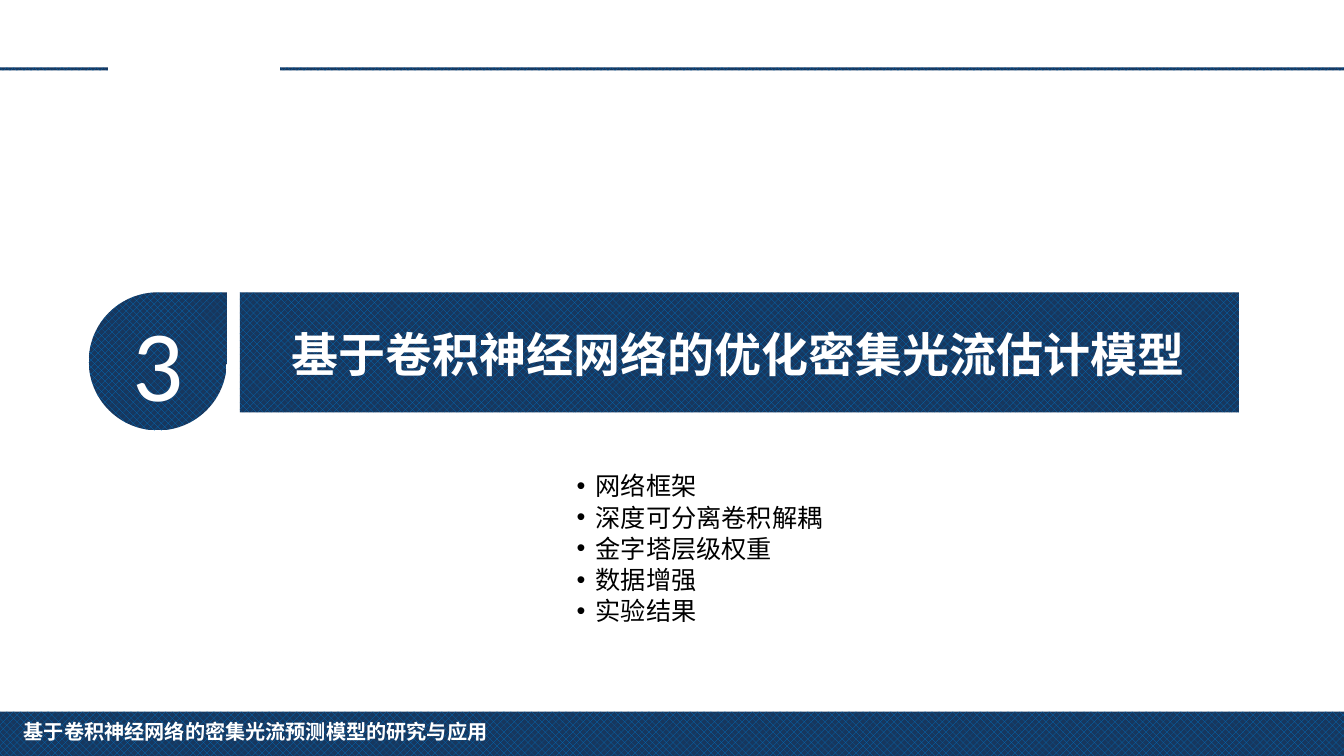
from dataclasses import dataclass

from lxml.etree import SubElement
from pptx import Presentation
from pptx.dml.color import RGBColor
from pptx.enum.dml import MSO_PATTERN as Weave
from pptx.enum.shapes import MSO_SHAPE as Form
from pptx.enum.text import MSO_ANCHOR as Anchor, PP_ALIGN as Align
from pptx.oxml.ns import qn
from pptx.util import Inches, Pt

WIDE, HIGH = Inches(13.333), Inches(7.5)
NAVY, BLUE, WHITE, BLACK = "17375E", "0070C0", "FFFFFF", "000000"
LATIN, HAN = "Calibri", "Noto Sans CJK SC"
RULE_TOP, RULE_HIGH = 8.93, 0.4
BAND_TOP = 38.67
LIST_LEFT, LIST_TOP, LIST_STEP, LIST_HIGH = 42.16, 61.6, 4.13, 5.33
DENT = Inches(0.19)


@dataclass
class Box:
    left: float
    top: float
    width: float
    height: float

    def place(self) -> tuple[int, int, int, int]:
        return (
            int(WIDE * self.left / 100),
            int(HIGH * self.top / 100),
            int(WIDE * self.width / 100),
            int(HIGH * self.height / 100),
        )


@dataclass
class Panel:
    box: Box
    form: Form = Form.RECTANGLE


@dataclass
class Label:
    text: str
    box: Box
    size: float
    face: str = HAN
    tint: str = WHITE
    bold: bool = True
    align: Align = Align.CENTER
    dot: bool = False


def shade(code: str) -> RGBColor:
    return RGBColor.from_string(code)


def write(frame, label: Label) -> None:
    frame.word_wrap = True
    para = frame.paragraphs[0]
    para.text = label.text
    para.alignment = label.align
    font = para.font
    font.size = Pt(label.size)
    font.bold = label.bold
    font.color.rgb = shade(label.tint)
    font.name = label.face
    props = para._p.get_or_add_pPr()
    SubElement(props.find(qn("a:defRPr")), qn("a:ea"), typeface=HAN)
    if label.dot:
        props.set("marL", str(DENT))
        props.set("indent", str(-DENT))
        mark = SubElement(props, qn("a:buChar"), char="•")
        face = SubElement(props, qn("a:buFont"), typeface="Arial")
        props.insert(0, mark)
        props.insert(0, face)


def draw_panel(slide, panel: Panel):
    shape = slide.shapes.add_shape(panel.form, *panel.box.place())
    shape.shadow.inherit = False
    shape.line.fill.background()
    shape.fill.patterned()
    shape.fill.pattern = Weave.PERCENT_50
    shape.fill.fore_color.rgb = shade(BLUE)
    shape.fill.back_color.rgb = shade(NAVY)
    return shape


def draw_label(slide, label: Label) -> None:
    write(slide.shapes.add_textbox(*label.box.place()).text_frame, label)


PANELS = [
    Panel(Box(20.85, RULE_TOP, 79.15, RULE_HIGH)),
    Panel(Box(0, RULE_TOP, 8.03, RULE_HIGH)),
    Panel(Box(0, 94.13, 100, 5.87)),
    Panel(Box(17.85, BAND_TOP, 74.34, 15.87)),
]
DROP = Panel(Box(6.6, BAND_TOP, 10.28, 18.27), Form.TEAR)
COUNT = Label("3", DROP.box, 72, face=LATIN, bold=False)
LABELS = [
    Label("基于卷积神经网络的密集光流预测模型的研究与应用",
          Box(-0.15, 94.53, 38.33, 4.53), 14.4),
    Label("基于卷积神经网络的优化密集光流估计模型",
          Box(16.88, 42.4, 76.07, 8.93), 33.6),
]
TOPICS = [
    ("网络框架", 17.78),
    ("深度可分离卷积解耦", 24.6),
    ("金字塔层级权重", 17.78),
    ("数据增强", 17.78),
    ("实验结果", 17.78),
]


def main() -> None:
    deck = Presentation()
    deck.slide_width, deck.slide_height = WIDE, HIGH
    slide = deck.slides.add_slide(deck.slide_layouts[6])
    for panel in PANELS:
        draw_panel(slide, panel)
    for label in LABELS:
        draw_label(slide, label)
    frame = draw_panel(slide, DROP).text_frame
    frame.vertical_anchor = Anchor.MIDDLE
    frame.margin_left = frame.margin_right = Inches(0.12)
    frame.margin_top = frame.margin_bottom = Inches(0.06)
    write(frame, COUNT)
    for row, (text, width) in enumerate(TOPICS):
        box = Box(LIST_LEFT, LIST_TOP + row * LIST_STEP, width, LIST_HIGH)
        draw_label(slide, Label(text, box, 18, LATIN, BLACK, False, Align.LEFT, True))
    deck.save("out.pptx")


if __name__ == "__main__":
    main()
